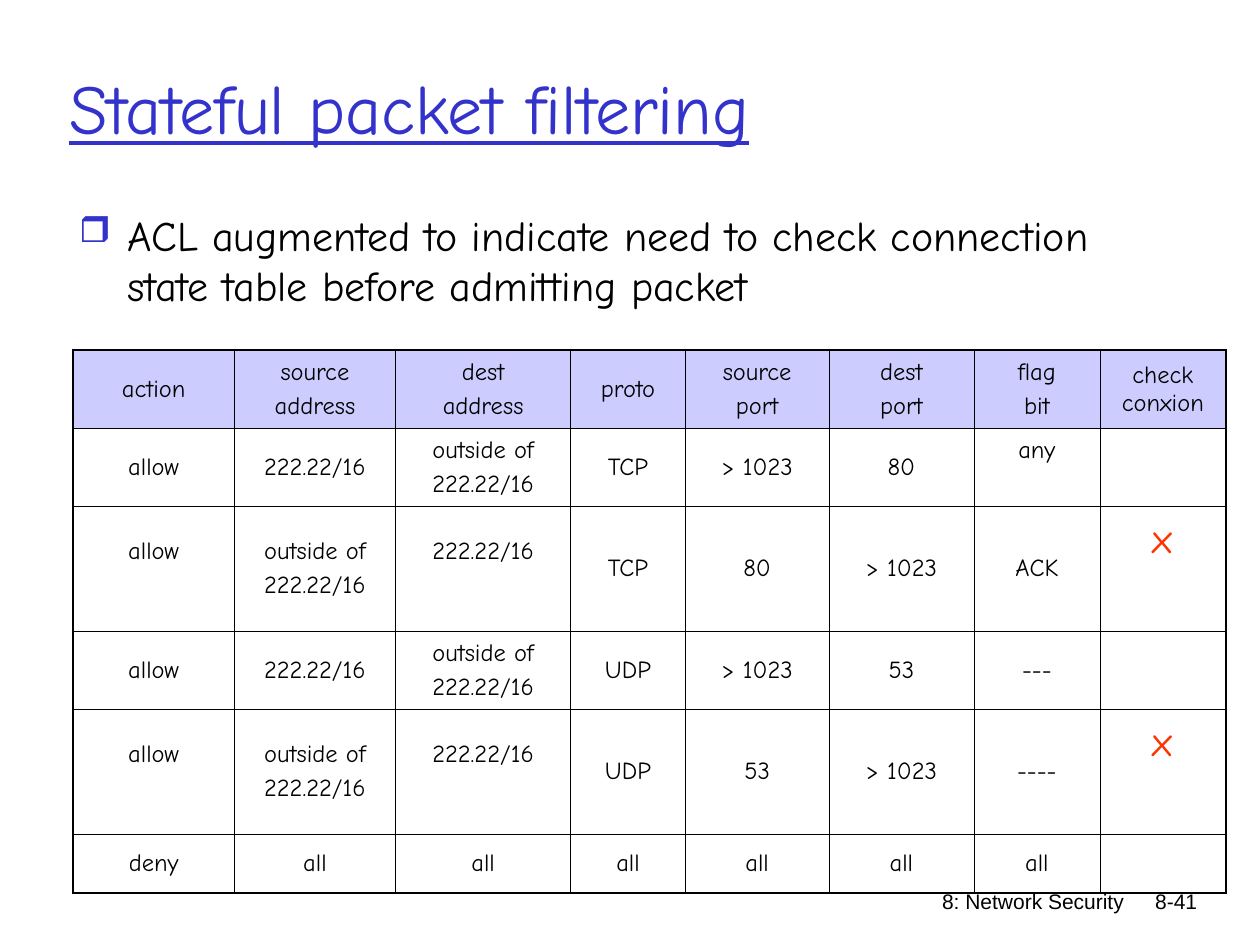
from lxml.etree import SubElement
from pptx import Presentation
from pptx.dml.color import RGBColor
from pptx.enum.text import MSO_ANCHOR as Anchor, PP_ALIGN as Align
from pptx.oxml.ns import qn
from pptx.util import Inches, Pt

BLACK = RGBColor(0x00, 0x00, 0x00)
BLUE = RGBColor(0x33, 0x33, 0xCC)
LAVENDER = RGBColor(0xCC, 0xCC, 0xFF)
RED = RGBColor(0xFF, 0x33, 0x00)

COLUMN_WIDTHS = [1.28, 1.28, 1.39, 0.91, 1.14, 1.15, 1, 1]
ROW_HEIGHTS = [0.62, 0.62, 0.99, 0.62, 0.99, 0.47]
INSIDE, OUTSIDE = "222.22/16", "outside of\n222.22/16"
RULES = [
    ["action", "source\naddress", "dest\naddress", "proto",
     "source\nport", "dest\nport", "flag\nbit", "check conxion"],
    ["allow", INSIDE, OUTSIDE, "TCP", "> 1023", "80", "any", ""],
    ["allow", OUTSIDE, INSIDE, "TCP", "80", "> 1023", "ACK", "x"],
    ["allow", INSIDE, OUTSIDE, "UDP", "> 1023", "53", "---", ""],
    ["allow", OUTSIDE, INSIDE, "UDP", "53", "> 1023", "----", "x"],
    ["deny"] + ["all"] * 6 + [""],
]
RAISED_CELLS = {(1, 6), (2, 0), (2, 2), (4, 0), (4, 2)}


def write_text(frame, text, font="Comic Neue", size=14, color=BLACK,
               align=Align.LEFT, underline=False, gap=0, bullet=None):
    frame.word_wrap = True
    for index, line in enumerate(text.split("\n")):
        paragraph = frame.add_paragraph() if index else frame.paragraphs[0]
        paragraph.alignment = align
        if index:
            paragraph.space_before = Pt(gap)
        if bullet:
            properties = paragraph._p.get_or_add_pPr()
            properties.set("marL", str(Inches(0.38)))
            properties.set("indent", str(Inches(-0.38)))
            bullet_color = SubElement(properties, qn("a:buClr"))
            SubElement(bullet_color, qn("a:srgbClr"), val=str(BLUE))
            SubElement(properties, qn("a:buSzPct"), val="85000")
            SubElement(properties, qn("a:buChar"), char=bullet)
        run = paragraph.add_run()
        run.text = line
        run.font.name = font
        run.font.size = Pt(size)
        run.font.color.rgb = color
        run.font.underline = underline


class SlideBuilder:
    """Holds the border style and the current slide, and adds elements to it."""

    thin, thick = Pt(0.45), Pt(1.08)

    def __init__(self, slide):
        self.slide = slide

    def text_box(self, left, top, width, height, text, anchor=Anchor.TOP, **style):
        shape = self.slide.shapes.add_textbox(
            Inches(left), Inches(top), Inches(width), Inches(height))
        shape.text_frame.vertical_anchor = anchor
        write_text(shape.text_frame, text, **style)

    def borders(self, cell, **outer_edges):
        properties = cell._tc.get_or_add_tcPr()
        for side in "LRTB":
            width = self.thick if outer_edges[side] else self.thin
            line = SubElement(properties, qn(f"a:ln{side}"), w=str(width))
            fill = SubElement(line, qn("a:solidFill"))
            SubElement(fill, qn("a:srgbClr"), val=str(BLACK))

    def table(self, left, top, widths, heights, rows):
        table = self.slide.shapes.add_table(
            len(rows), len(widths), Inches(left), Inches(top),
            Inches(sum(widths)), Inches(sum(heights))).table
        table.first_row = table.horz_banding = False
        for column, width in zip(table.columns, widths):
            column.width = Inches(width)
        for row, height in zip(table.rows, heights):
            row.height = Inches(height)
        for r, texts in enumerate(rows):
            for c, text in enumerate(texts):
                cell = table.cell(r, c)
                self.borders(cell, L=c == 0, R=c == len(widths) - 1,
                             T=r == 0, B=r == len(rows) - 1)
                if r == 0:
                    cell.fill.solid()
                    cell.fill.fore_color.rgb = LAVENDER
                else:
                    cell.fill.background()
                cell.vertical_anchor = Anchor.MIDDLE
                marked = text == "x"
                if marked:
                    cell.margin_bottom = Inches(0.51)
                elif (r, c) in RAISED_CELLS:
                    cell.margin_bottom = Inches(0.32)
                if text:
                    write_text(cell.text_frame, text, align=Align.CENTER, gap=3.5,
                               size=24 if marked else 14,
                               color=RED if marked else BLACK)


def main():
    presentation = Presentation()
    presentation.slide_width, presentation.slide_height = Inches(10), Inches(7.5)
    builder = SlideBuilder(presentation.slides.add_slide(presentation.slide_layouts[6]))
    footer = dict(font="Arial", size=12, align=Align.RIGHT)
    builder.text_box(5.85, 7, 3.17, 0.5, "8: Network Security", **footer)
    builder.text_box(8.8, 7, 0.8, 0.32, "8-41", **footer)
    builder.table(0.58, 2.78, COLUMN_WIDTHS, ROW_HEIGHTS, RULES)
    builder.text_box(0.45, 0.22, 8.5, 1.25, "Stateful packet filtering",
                     anchor=Anchor.MIDDLE, size=40, color=BLUE, underline=True)
    builder.text_box(0.53, 1.61, 8.22, 5.02,
                     "ACL augmented to indicate need to check connection "
                     "state table before admitting packet", size=24, bullet="❒")
    presentation.save("out.pptx")


if __name__ == "__main__":
    main()
